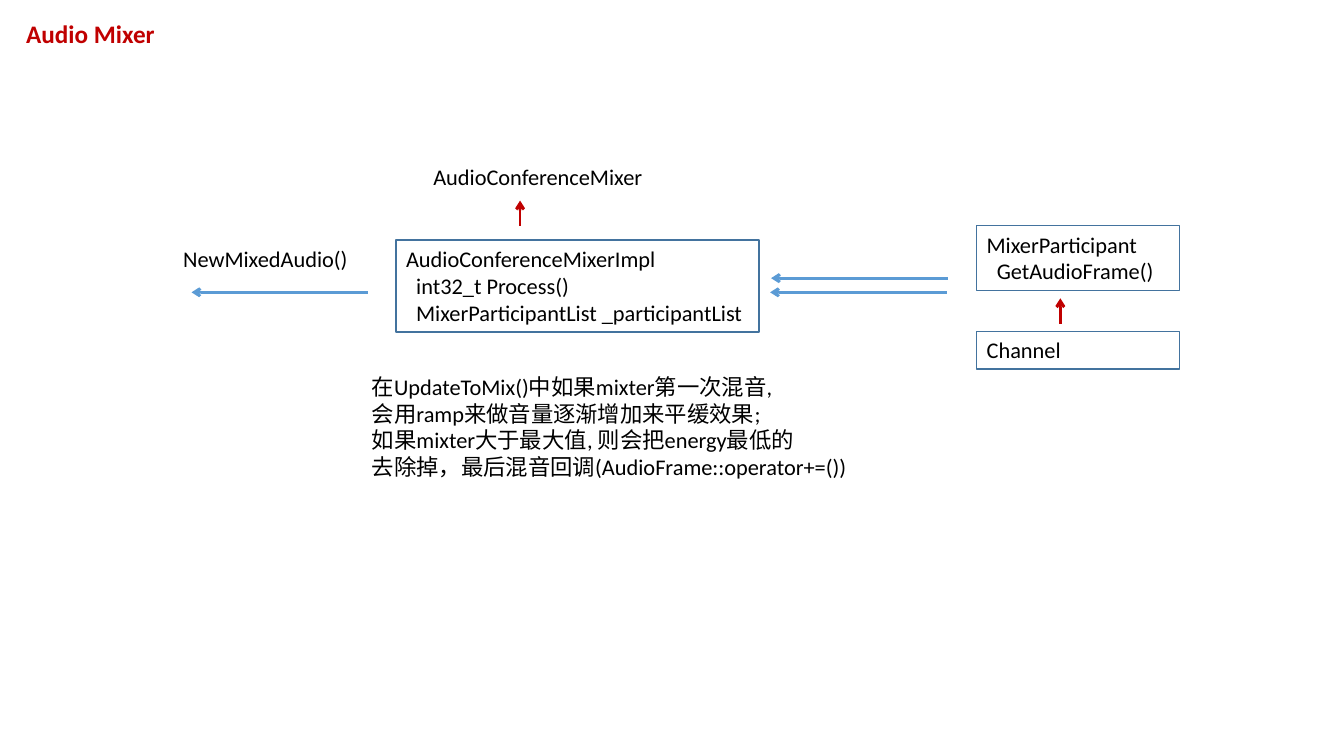
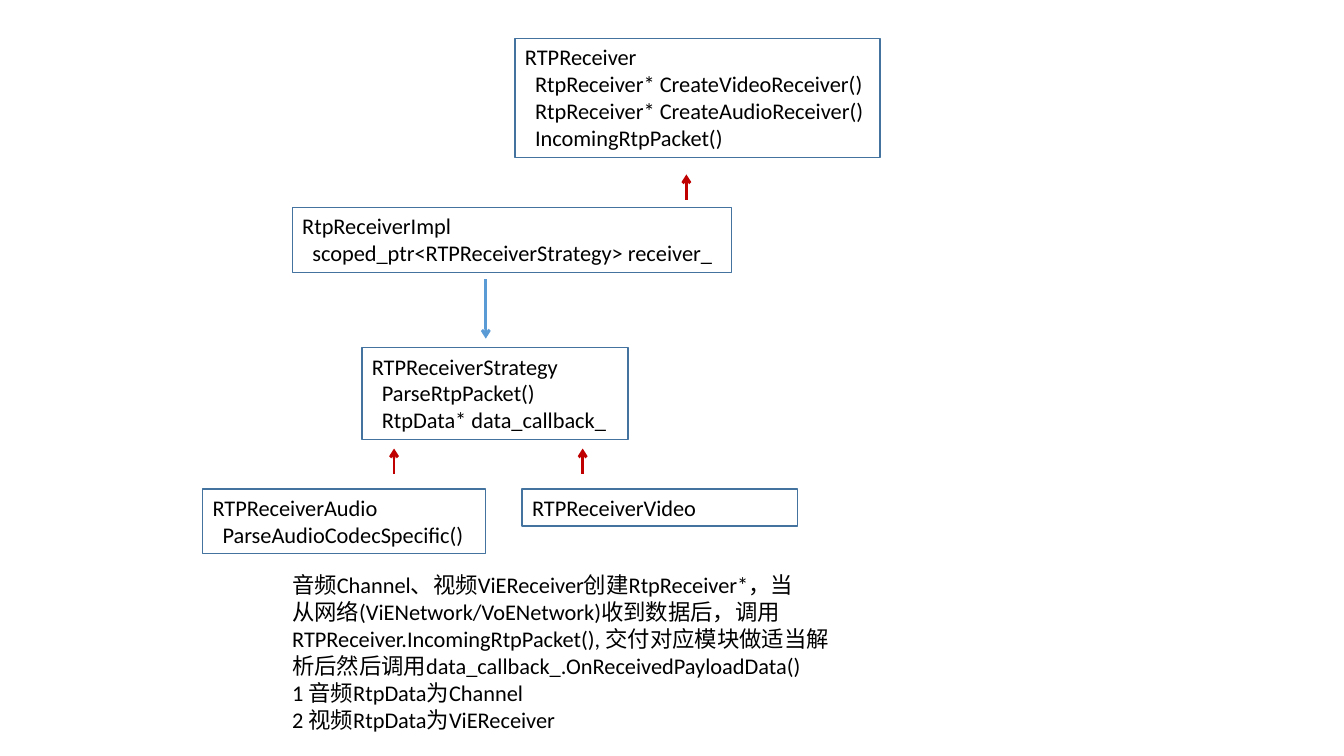
from lxml.etree import SubElement as Sub
from pptx import Presentation
from pptx.dml.color import RGBColor as Rgb
from pptx.enum.shapes import MSO_CONNECTOR as Conn, MSO_SHAPE as Form
from pptx.enum.text import MSO_ANCHOR as Anchor, MSO_AUTO_SIZE as Fit, PP_ALIGN as Align
from pptx.oxml.ns import qn
from pptx.util import Pt

RED = Rgb(0xC0, 0x00, 0x00)
BLUE = Rgb(0x5B, 0x9B, 0xD5)
EDGE = Rgb(0x43, 0x73, 0x9E)
BLACK = Rgb(0x00, 0x00, 0x00)

TITLED, BLANK = 5, 6


class Deck:
    """Holds the style and the current slide, and draws each kind of element."""

    font = "Calibri"
    size = 16
    row = 19.5
    inset = 3.6
    indent = 7.2
    rise = 18
    reach = 126

    def __init__(self):
        self.prs = Presentation()
        self.prs.slide_width, self.prs.slide_height = Pt(960), Pt(540)
        self.slide = None

    def page(self, layout):
        self.slide = self.prs.slides.add_slide(self.prs.slide_layouts[layout])

    def high(self, count):
        return Pt(count * self.row + 2 * self.inset)

    def run(self, para, text, size=size, color=BLACK, bold=False):
        para.alignment = Align.LEFT
        run = para.add_run()
        run.text = text
        font = run.font
        font.name, font.size, font.bold = self.font, Pt(size), bold
        font.color.rgb = color

    def fill(self, frame, lines, nested=False):
        frame.word_wrap = True
        frame.vertical_anchor = Anchor.TOP
        for i, text in enumerate(lines):
            para = frame.add_paragraph() if i else frame.paragraphs[0]
            if nested and i:
                para._p.get_or_add_pPr().set("marL", str(Pt(self.indent)))
            self.run(para, text)

    def title(self, text):
        shape = self.slide.shapes.title
        shape.left, shape.top = Pt(11.5), Pt(9.4)
        shape.width, shape.height = Pt(130), Pt(29)
        frame = shape.text_frame
        frame.auto_size = Fit.NONE
        frame.vertical_anchor = Anchor.TOP
        self.run(frame.paragraphs[0], text, 18, RED, True)

    def box(self, x, y, w, *lines):
        shape = self.slide.shapes.add_shape(
            Form.RECTANGLE, Pt(x), Pt(y), Pt(w), self.high(len(lines)))
        shape.shadow.inherit = False
        shape.fill.background()
        shape.line.color.rgb, shape.line.width = EDGE, Pt(1)
        self.fill(shape.text_frame, lines, nested=True)

    def note(self, x, y, w, rows, *lines):
        shape = self.slide.shapes.add_textbox(Pt(x), Pt(y), Pt(w), self.high(rows))
        self.fill(shape.text_frame, lines)

    def arrow(self, x, y, dx, dy, color):
        line = self.slide.shapes.add_connector(
            Conn.STRAIGHT, Pt(x), Pt(y), Pt(x + dx), Pt(y + dy))
        line.line.color.rgb, line.line.width = color, Pt(2)
        Sub(line.line._get_or_add_ln(), qn("a:tailEnd"), type="arrow")
        Sub(line._element.spPr, qn("a:effectLst"))

    def parent(self, x, y):
        self.arrow(x, y, 0, -self.rise, RED)

    def flow(self, x, y):
        self.arrow(x, y, -self.reach, 0, BLUE)


def mixer(deck):
    deck.page(TITLED)
    deck.title("Audio Mixer")
    deck.note(302.4, 113, 167, 1, "AudioConferenceMixer")
    deck.parent(371.5, 161.3)
    deck.box(283, 171.4, 259.2, "AudioConferenceMixerImpl", "int32_t Process()",
             "MixerParticipantList _participantList")
    deck.note(123.8, 171.4, 134.6, 1, "NewMixedAudio()")
    for x, y in ((676.8, 198.7), (676.1, 208.8), (262.8, 208.8)):
        deck.flow(x, y)
    deck.box(697.7, 161.3, 144.7, "MixerParticipant", "GetAudioFrame()")
    deck.parent(757.4, 231.1)
    deck.box(697.7, 236.9, 144.7, "Channel")
    deck.note(258.5, 262.8, 356.4, 5,
              "在UpdateToMix()中如果mixter第一次混音,",
              "会用ramp来做音量逐渐增加来平缓效果;",
              "如果mixter大于最大值, 则会把energy最低的",
              "去除掉，最后混音回调(AudioFrame::operator+=())")


def receiver(deck):
    deck.page(BLANK)
    deck.box(367.9, 27.4, 260.6, "RTPReceiver", "RtpReceiver* CreateVideoReceiver()",
             "RtpReceiver* CreateAudioReceiver()", "IncomingRtpPacket()")
    deck.box(208.8, 148.3, 313.9, "RtpReceiverImpl",
             "scoped_ptr<RTPReceiverStrategy> receiver_")
    deck.arrow(347, 199.4, 0, 42.5, BLUE)
    deck.box(258.5, 248.4, 190.1, "RTPReceiverStrategy", "ParseRtpPacket()",
             "RtpData* data_callback_")
    deck.box(144.7, 349.2, 202.3, "RTPReceiverAudio", "ParseAudioCodecSpecific()")
    deck.box(373, 349.2, 196.6, "RTPReceiverVideo")
    for x, y in ((490.3, 142.6), (281.5, 338.4), (416.2, 338.4)):
        deck.parent(x, y)
    deck.note(201.6, 404.6, 399.6, 6,
              "音频Channel、视频ViEReceiver创建RtpReceiver*，当",
              "从网络(ViENetwork/VoENetwork)收到数据后，调用"
              "RTPReceiver.IncomingRtpPacket(), 交付对应模块做适当"
              "解析后然后调用data_callback_.OnReceivedPayloadData()",
              "1 音频RtpData为Channel",
              "2 视频RtpData为ViEReceiver")


def main():
    deck = Deck()
    mixer(deck)
    receiver(deck)
    deck.prs.save("out.pptx")


if __name__ == "__main__":
    main()
